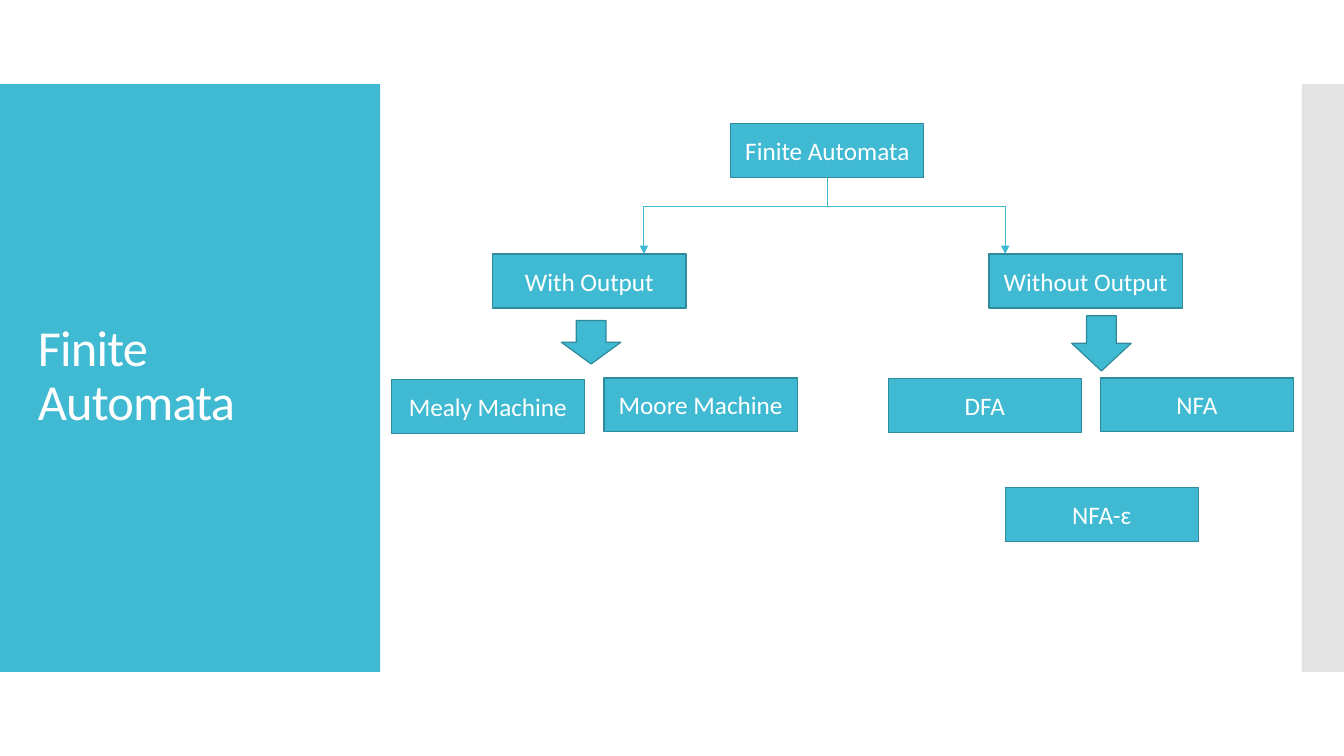
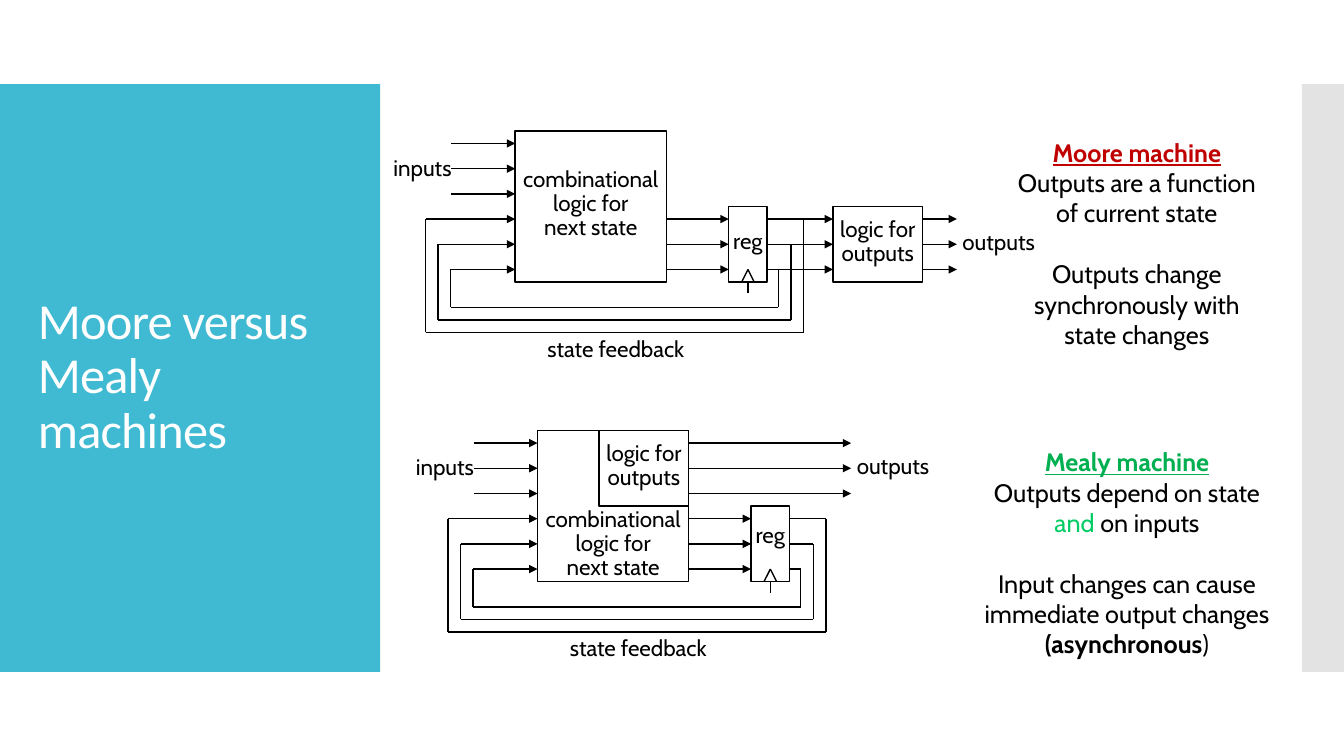
from lxml import etree
from pptx import Presentation
from pptx.dml.color import RGBColor
from pptx.enum.shapes import MSO_CONNECTOR, MSO_SHAPE
from pptx.enum.text import MSO_ANCHOR, PP_ALIGN
from pptx.oxml.ns import qn
from pptx.util import Pt

RECTANGLE, DOWN_ARROW = MSO_SHAPE.RECTANGLE, MSO_SHAPE.DOWN_ARROW
STRAIGHT = MSO_CONNECTOR.STRAIGHT
LEFT, CENTER = PP_ALIGN.LEFT, PP_ALIGN.CENTER
TOP, MIDDLE = MSO_ANCHOR.TOP, MSO_ANCHOR.MIDDLE
LEFT_SIDE, BOTTOM_SIDE, RIGHT_SIDE = 1, 2, 3

COLORS = {
    "accent": "40BAD2", "accent_dark": "2F8A9B", "gray": "C8C8C8",
    "white": "FFFFFF", "black": "000000", "moore": "C00000",
    "mealy": "00B050", "and": "00CC66",
}
HEADING_FONT, DIAGRAM_FONT = "Calibri", "Cabin"

NODE_WIDTH, NODE_HEIGHT = 138, 38.5
NODES = [
    ("Finite Automata", 522, 88.5),
    ("Without Output", 706.5, 181.5),
    ("With Output", 352, 181.5),
    ("Mealy Machine", 279.5, 271),
    ("Moore Machine", 431.5, 270),
    ("NFA-ɛ", 718, 348.5),
    ("NFA", 786, 270),
    ("DFA", 634.5, 270.5),
]
BUS_TOP, BRANCH_BOTTOM = 147.5, 181.5
BRANCHES = [460, 718]
BLOCK_ARROWS = [(401, 229, 42.5, 31), (765.5, 225.5, 42.5, 39.5)]

BOX, ROW_START, ROW_STEP = 108, 9, 18
HALF, LOOP_STEP = 54, 9
REGISTER_LEFT, REGISTER_WIDTH = 152.5, 27.5
LOGIC_WIDTH = 64
INPUT_LEFT = -45.5
SECOND_STATEMENT = 3

MACHINES = [
    {
        "origin": (368, 93.5), "logic": (227, 54), "wire": 24.5,
        "next_state_inset": 27, "register_inset": 17, "note_at": (702, 98),
        "note": [
            [("Moore machine", {"color": "moore", "bold": True, "underline": True})],
            [("Outputs are a function", {})],
            [("of current state", {})],
            [("Outputs change", {})],
            [("synchronously with", {})],
            [("state changes", {})],
        ],
    },
    {
        "origin": (384, 307.5), "logic": (44, 0), "wire": 116,
        "next_state_inset": 55.5, "register_inset": 13, "note_at": (695, 319),
        "note": [
            [("Mealy machine", {"color": "mealy", "bold": True, "underline": True})],
            [("Outputs depend on state", {})],
            [("and", {"color": "and"}), (" on inputs", {})],
            [("Input changes can cause", {})],
            [("immediate output changes", {})],
            [("(asynchronous", {"bold": True}), (")", {})],
        ],
    },
]


def rgb(name):
    return RGBColor.from_string(COLORS[name])


def write(shape, lines, size=18, font=HEADING_FONT, color="black", align=CENTER,
          anchor=MIDDLE, insets=(0, 0), spacing=None, tracking=None, gap_before=None):
    frame = shape.text_frame
    frame.word_wrap = True
    frame.vertical_anchor = anchor
    frame.margin_left = frame.margin_right = Pt(insets[0])
    frame.margin_top, frame.margin_bottom = Pt(insets[1]), 0
    for index, line in enumerate(lines):
        paragraph = frame.add_paragraph() if index else frame.paragraphs[0]
        paragraph.alignment = align
        if spacing is not None:
            paragraph.line_spacing = spacing
        if index and index == gap_before:
            paragraph.space_before = Pt(22)
        for text, style in ([(line, {})] if isinstance(line, str) else line):
            run = paragraph.add_run()
            run.text = text
            run.font.name, run.font.size = font, Pt(size)
            run.font.color.rgb = rgb(style.get("color", color))
            run.font.bold = style.get("bold", False)
            run.font.underline = style.get("underline", False)
            if tracking is not None:
                run._r.get_or_add_rPr().set("spc", str(tracking))


def add_text(slide, lines, left, top, width, height, **text_format):
    box = slide.shapes.add_textbox(Pt(left), Pt(top), Pt(width), Pt(height))
    write(box, lines, **text_format)


def add_box(slide, left, top, width, height, fill=None, outline=None, weight=1,
            kind=RECTANGLE):
    shape = slide.shapes.add_shape(kind, Pt(left), Pt(top), Pt(width), Pt(height))
    shape.shadow.inherit = False
    if fill:
        shape.fill.solid()
        shape.fill.fore_color.rgb = rgb(fill)
    else:
        shape.fill.background()
    if outline:
        shape.line.color.rgb = rgb(outline)
        shape.line.width = Pt(weight)
    else:
        shape.line.fill.background()
    return shape


def add_line(slide, start, end, color="black", weight=1, arrow=False,
             begin_at=None, end_at=None):
    line = slide.shapes.add_connector(STRAIGHT, *(Pt(value) for value in (*start, *end)))
    line.line.color.rgb = rgb(color)
    line.line.width = Pt(weight)
    properties = line._element.spPr
    if arrow:
        etree.SubElement(properties.find(qn("a:ln")), qn("a:tailEnd"), type="triangle")
    etree.SubElement(properties, qn("a:effectLst"))
    if begin_at:
        line.begin_connect(*begin_at)
    if end_at:
        line.end_connect(*end_at)


def add_path(slide, points, arrow=False, begin_at=None):
    last = len(points) - 2
    for index, (start, end) in enumerate(zip(points, points[1:])):
        add_line(slide, start, end, arrow=arrow and index == last,
                 begin_at=None if index else begin_at)


def add_wires(slide, rows, left, right, source=None, target=None):
    for index, row in enumerate(rows):
        middle = index == 1
        add_line(slide, (left, row), (right, row), arrow=True,
                 begin_at=(source, RIGHT_SIDE) if middle and source else None,
                 end_at=(target, LEFT_SIDE) if middle and target else None)


def add_titled_slide(presentation, title):
    slide = presentation.slides.add_slide(presentation.slide_layouts[6])
    add_box(slide, 0, 60, 271.5, 420, fill="accent")
    side_band = add_box(slide, 930, 60, 30, 420, fill="gray")
    band_color = side_band._element.spPr.find(qn("a:solidFill")).find(qn("a:srgbClr"))
    etree.SubElement(band_color, qn("a:alpha"), val="50000")
    add_text(slide, [title], 20, 88.5, 232, 362, size=36, color="white", align=LEFT,
             insets=(7.2, 0), spacing=0.9, tracking=-60)
    return slide


def add_automata_tree(slide):
    style = {"fill": "accent", "outline": "accent_dark", "weight": 0.85}
    nodes = {}
    for text, left, top in NODES:
        nodes[text] = add_box(slide, left, top, NODE_WIDTH, NODE_HEIGHT, **style)
        write(nodes[text], [text], color="white", insets=(7.2, 0))
    _, root_left, root_top = NODES[0]
    center = root_left + NODE_WIDTH / 2
    wire = {"color": "accent", "weight": 0.75}
    add_line(slide, (center, root_top + NODE_HEIGHT), (center, BUS_TOP),
             begin_at=(nodes["Finite Automata"], BOTTOM_SIDE), **wire)
    for branch in BRANCHES:
        add_line(slide, (center, BUS_TOP), (branch, BUS_TOP), **wire)
        add_line(slide, (branch, BUS_TOP), (branch, BRANCH_BOTTOM), arrow=True, **wire)
    for place in BLOCK_ARROWS:
        add_box(slide, *place, kind=DOWN_ARROW, **style)


def add_machine(slide, machine):
    left, top = machine["origin"]
    logic_left, logic_top = left + machine["logic"][0], top + machine["logic"][1]
    logic_right = logic_left + LOGIC_WIDTH
    register_left = left + REGISTER_LEFT
    register_right = register_left + REGISTER_WIDTH
    rows = [top + ROW_START + ROW_STEP * index for index in range(6)]
    input_rows, state_rows = rows[:3], rows[3:]
    label = {"size": 16, "font": DIAGRAM_FONT, "anchor": TOP, "spacing": Pt(17)}

    next_state = add_box(slide, left, top, BOX, BOX, fill="white", outline="black")
    write(next_state, ["combinational", "logic for", "next state"],
          insets=(0, machine["next_state_inset"]), **label)
    register = add_box(slide, register_left, top + HALF, REGISTER_WIDTH, HALF,
                       fill="white", outline="black")
    write(register, ["reg"], insets=(0, machine["register_inset"]), **label)
    logic = add_box(slide, logic_left, logic_top, LOGIC_WIDTH, HALF, outline="black")
    write(logic, ["logic for", "outputs"], insets=(0, 8.5), **label)

    add_wires(slide, input_rows, left + INPUT_LEFT, left)
    add_wires(slide, state_rows, left + BOX, register_left, target=register)
    if logic_left > register_right:
        add_wires(slide, state_rows, register_right, logic_left, register, logic)
    output_rows = [logic_top + ROW_START + ROW_STEP * index for index in range(3)]
    wire_end = logic_right + machine["wire"]
    add_wires(slide, output_rows, logic_right, wire_end, source=logic)

    for index, row in enumerate(reversed(state_rows)):
        reach = LOOP_STEP * index
        loop_left, loop_right = left - 46 - reach, register_right + 8 + reach
        loop_bottom = top + 126 + reach
        add_path(slide, [(register_right, row), (loop_right, row),
                         (loop_right, loop_bottom), (loop_left, loop_bottom),
                         (loop_left, row), (left, row)], arrow=True,
                 begin_at=(register, RIGHT_SIDE) if index == 1 else None)

    clock, floor = register_left + REGISTER_WIDTH / 2, top + BOX
    add_path(slide, [(clock - 4.5, floor), (clock, floor - 9), (clock + 4.5, floor)])
    add_line(slide, (clock, floor), (clock, floor + 8),
             begin_at=(register, BOTTOM_SIDE))

    for text, label_left, label_top, width in [
        ("inputs", left - 87, top + 18.5, 48),
        ("outputs", wire_end + 4, logic_top + 17.5, 60),
        ("state feedback", left + 23, top + 148, 110),
    ]:
        add_text(slide, [text], label_left, label_top, width, 20, align=LEFT, **label)
    add_text(slide, machine["note"], *machine["note_at"], 220, 160, font=DIAGRAM_FONT,
             anchor=TOP, gap_before=SECOND_STATEMENT)


def main():
    presentation = Presentation()
    presentation.slide_width, presentation.slide_height = Pt(960), Pt(540)
    add_automata_tree(add_titled_slide(presentation, "Finite Automata"))
    comparison = add_titled_slide(presentation, "Moore versus Mealy machines")
    for machine in MACHINES:
        add_machine(comparison, machine)
    presentation.save("out.pptx")


if __name__ == "__main__":
    main()
